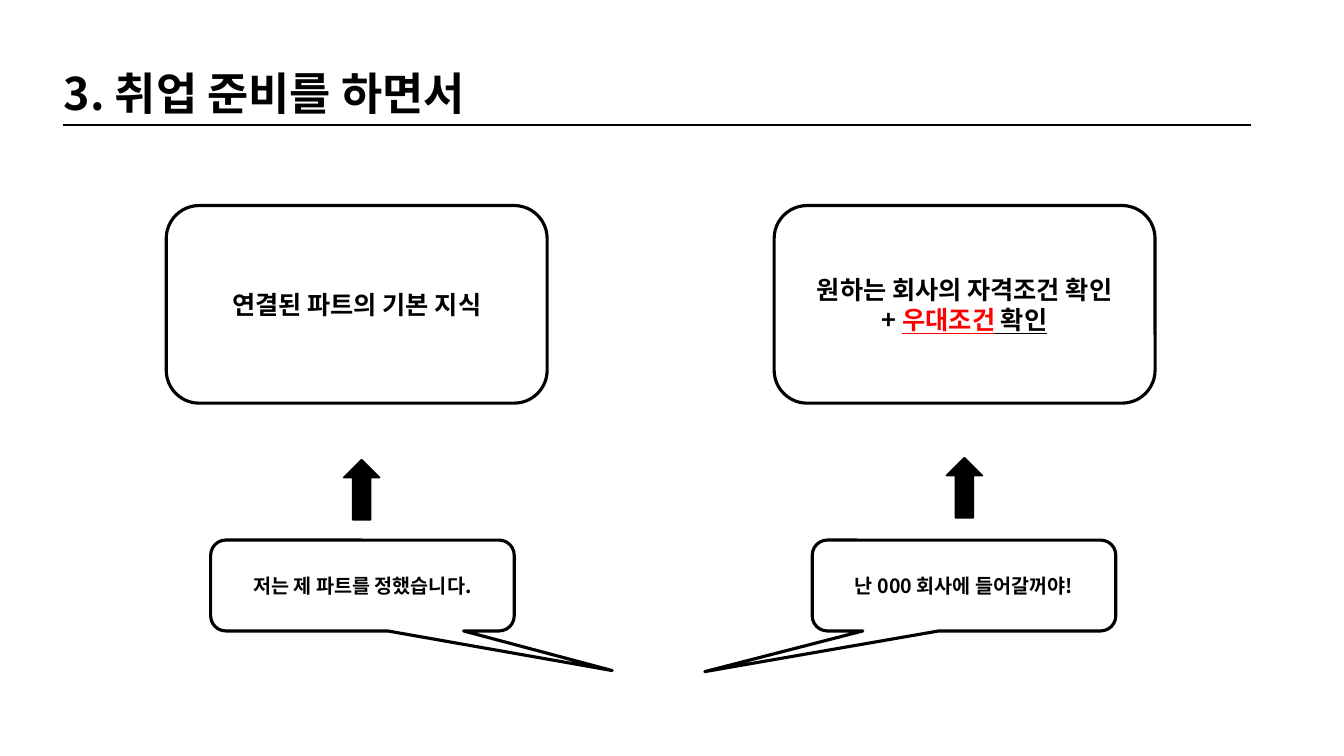
from lxml import etree
from pptx import Presentation
from pptx.dml.color import RGBColor
from pptx.enum.shapes import MSO_CONNECTOR, MSO_SHAPE
from pptx.enum.text import MSO_ANCHOR, PP_ALIGN
from pptx.oxml.ns import qn
from pptx.util import Cm, Pt

BLACK = RGBColor(0, 0, 0)
RED = RGBColor(255, 0, 0)
FONT = "Noto Sans CJK KR"


def add_run(p, text, size, color=BLACK, underline=None):
    """Add a bold run whose font also covers Korean characters."""
    r = p.add_run()
    r.text = text
    r.font.name = FONT
    r.font.size = Pt(size)
    r.font.bold = True
    r.font.underline = underline
    r.font.color.rgb = color
    etree.SubElement(r.font._element, qn("a:ea"), typeface=FONT)


def add_outlined(kind, left, top, width, height, lines, size):
    """Add an unfilled shape; each line is a list of (text, color, underline)."""
    sp = slide.shapes.add_shape(kind, Cm(left), Cm(top), Cm(width), Cm(height))
    sp.shadow.inherit = False
    sp.fill.background()
    sp.line.color.rgb = BLACK
    sp.line.width = Pt(2.25)
    tf = sp.text_frame
    tf.word_wrap = True
    tf.vertical_anchor = MSO_ANCHOR.MIDDLE
    for i, line in enumerate(lines):
        p = tf.paragraphs[0] if i == 0 else tf.add_paragraph()
        p.alignment = PP_ALIGN.CENTER
        for text, color, underline in line:
            add_run(p, text, size, color, underline)
    return sp


prs = Presentation()
prs.slide_width, prs.slide_height = Cm(33.87), Cm(19.05)
slide = prs.slides.add_slide(prs.slide_layouts[5])

title = slide.shapes.title
title.left, title.top, title.width, title.height = Cm(1.35), Cm(1.52), Cm(13.28), Cm(1.63)
tf = title.text_frame
tf.word_wrap = True
tf.vertical_anchor = MSO_ANCHOR.TOP
tf.paragraphs[0].alignment = PP_ALIGN.LEFT
add_run(tf.paragraphs[0], "3. 취업 준비를 하면서", 32)

rule = slide.shapes.add_connector(MSO_CONNECTOR.STRAIGHT, Cm(1.6), Cm(3.15), Cm(31.52), Cm(3.15))
rule.line.color.rgb = BLACK
rule.line.width = Pt(1.5)
etree.SubElement(rule._element.spPr, qn("a:effectLst"))

# Speech callouts: left, text, pointer tip
callouts = [
    (5.31, "저는 제 파트를 정했습니다.", (0.823, 0.936)),
    (20.47, "난 000 회사에 들어갈꺼야!", (-0.854, 0.948)),
]
for left, text, tip in callouts:
    sp = add_outlined(MSO_SHAPE.ROUNDED_RECTANGULAR_CALLOUT, left, 13.61, 7.65, 2.29,
                      [[(text, BLACK, None)]], 14)
    sp.adjustments[0], sp.adjustments[1] = tip

for left, top in [(8.66, 11.58), (23.85, 11.53)]:
    arrow = slide.shapes.add_shape(MSO_SHAPE.UP_ARROW, Cm(left), Cm(top), Cm(0.91), Cm(1.52))
    arrow.shadow.inherit = False
    arrow.fill.solid()
    arrow.fill.fore_color.rgb = BLACK
    arrow.line.color.rgb = BLACK
    arrow.line.width = Pt(1)

# Preparation boxes: left, lines of text
boxes = [
    (4.19, [[("연결된 파트의 기본 지식", BLACK, None)]]),
    (19.51, [
        [("원하는 회사의 자격조건 확인", BLACK, None)],
        [("+ ", BLACK, None), ("우대조건", RED, True), (" 확인", BLACK, True)],
    ]),
]
for left, lines in boxes:
    add_outlined(MSO_SHAPE.ROUNDED_RECTANGLE, left, 5.18, 9.6, 4.98, lines, 18)

prs.save("out.pptx")
